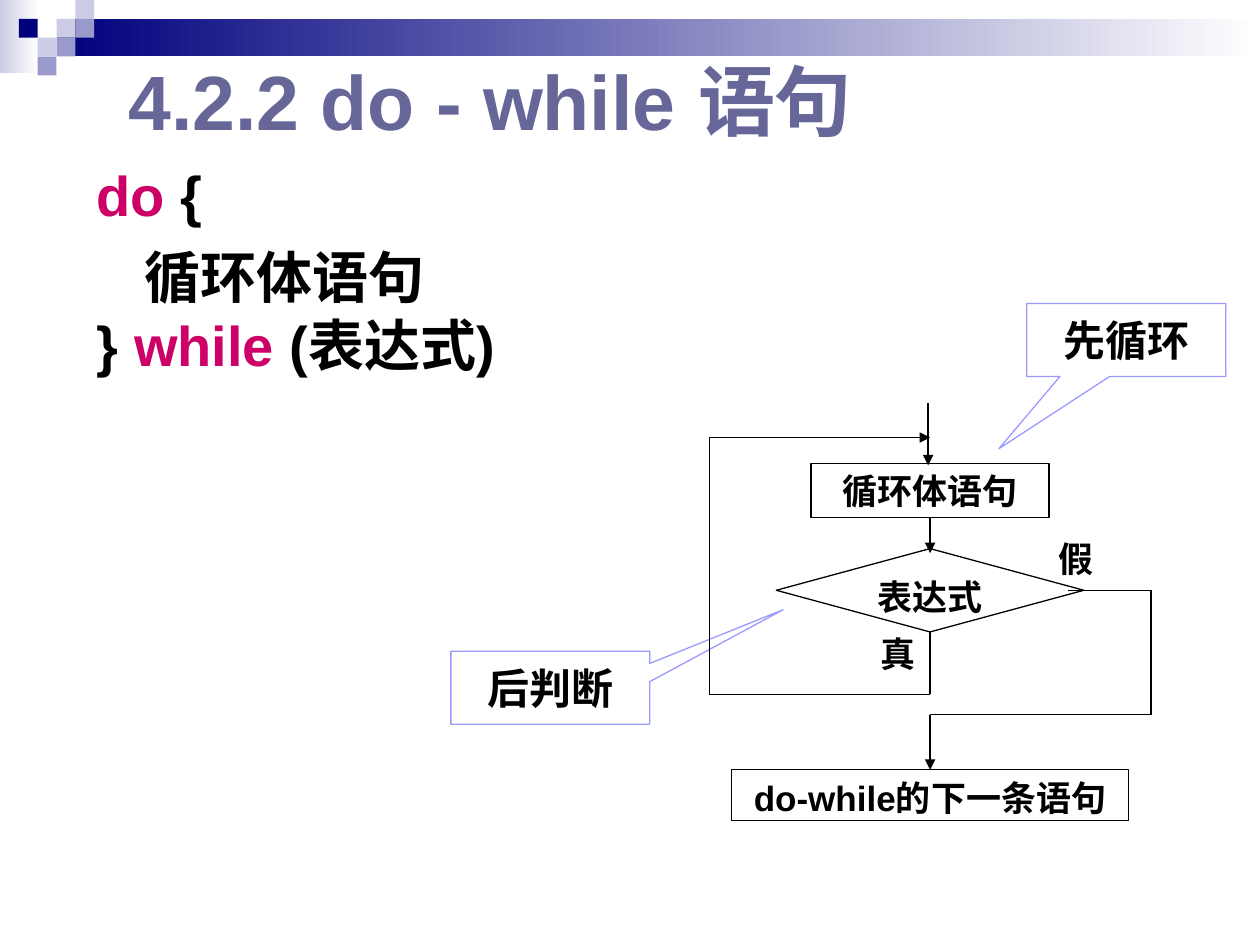
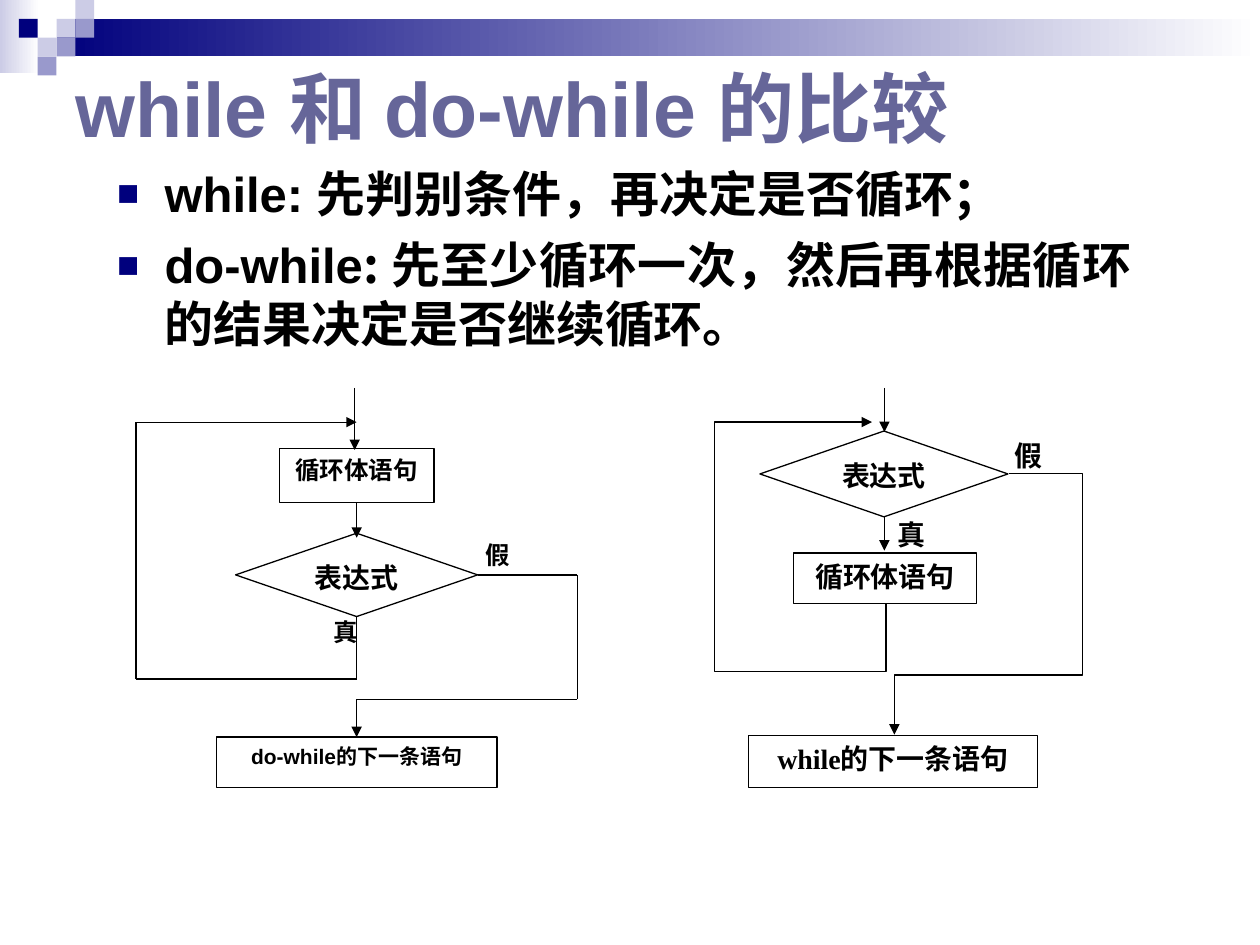
import itertools

import pptx
import pptx.dml.color
import pptx.enum.dml
import pptx.enum.shapes
import pptx.enum.text
import pptx.oxml
import pptx.oxml.ns
import pptx.util

Cm = pptx.util.Cm
Pt = pptx.util.Pt
RGBColor = pptx.dml.color.RGBColor
SHAPE = pptx.enum.shapes.MSO_SHAPE
ANCHOR = pptx.enum.text.MSO_ANCHOR
ALIGN = pptx.enum.text.PP_ALIGN

BLACK = RGBColor(0x00, 0x00, 0x00)
WHITE = RGBColor(0xFF, 0xFF, 0xFF)
NAVY = RGBColor(0x00, 0x00, 0x7D)
LAVENDER = RGBColor(0x99, 0x99, 0xCC)
PALE = RGBColor(0xCC, 0xCC, 0xE6)
SLATE = RGBColor(0x66, 0x66, 0x99)
PINK = RGBColor(0xCC, 0x00, 0x66)
CALLOUT_LINE = RGBColor(0x99, 0x99, 0xFF)

LATIN = "Arial"
SERIF = "Times New Roman"
CHINESE = "Noto Sans CJK SC"
LINE_WIDTH = Pt(0.75)
HANGING = Cm(0.96)

# Header mosaic: column, row and colour of each square
TILE = 0.38
TILES = [(3, 1, PALE), (4, 0, PALE), (4, 1, LAVENDER), (2, 2, PALE),
         (1, 1, NAVY), (3, 2, LAVENDER), (2, 3, LAVENDER)]


def add_xml(parent, tag, **attributes):
    """Append a drawing element and return it."""
    element = parent.makeelement(pptx.oxml.ns.qn(tag), attributes)
    parent.append(element)
    return element


def set_all(target, values):
    for name, value in values.items():
        setattr(target, name, value)


class Deck:
    def __init__(self):
        self.presentation = pptx.Presentation()
        set_all(self.presentation, {"slide_width": Cm(25.4), "slide_height": Cm(19.05)})
        self.slide = None

    def new_slide(self, title, title_box):
        self.slide = self.presentation.slides.add_slide(self.presentation.slide_layouts[6])
        # Fading bands, then the mosaic over them
        self.fading_band((0, 0, 0.79, 1.47), PALE)
        self.fading_band((1.14, 0.38, 24.26, 0.76), NAVY)
        for column, row, colour in TILES:
            self.shape((column * TILE, row * TILE, TILE, TILE), fill=colour)
        frame = self.text_box(title_box, ANCHOR.MIDDLE)
        self.run(frame.paragraphs[0], title, 44, SLATE)

    # Shapes
    def shape(self, box, text="", size=20, font=LATIN, kind=SHAPE.RECTANGLE,
              fill=WHITE, line=None, anchor=ANCHOR.TOP, wrap=True):
        shape = self.slide.shapes.add_shape(kind, *map(Cm, box))
        shape.shadow.inherit = False
        shape.fill.solid()
        shape.fill.fore_color.rgb = fill
        self.outline(shape.line, line)
        if text:
            set_all(shape.text_frame, {"word_wrap": wrap, "vertical_anchor": anchor})
            paragraph = shape.text_frame.paragraphs[0]
            paragraph.alignment = ALIGN.CENTER
            self.run(paragraph, text, size, font=font)
        return shape

    def fading_band(self, box, colour):
        band = self.shape(box)
        band.fill.gradient()
        band.fill.gradient_angle = 0
        for stop, stop_colour in zip(band.fill.gradient_stops, (colour, WHITE)):
            stop.color.rgb = stop_colour

    def callout(self, box, text, pointer):
        shape = self.shape(box, text, 24, SERIF, SHAPE.RECTANGULAR_CALLOUT,
                           line=CALLOUT_LINE, anchor=ANCHOR.MIDDLE, wrap=False)
        for index, value in enumerate(pointer):
            shape.adjustments[index] = value

    def step(self, box, text, size, font=LATIN):
        self.shape(box, text, size, font, line=BLACK)

    def decision(self, box, text, size, font=LATIN):
        self.shape(box, text, size, font, SHAPE.FLOWCHART_DECISION, line=BLACK)

    # Lines
    def outline(self, line, colour=BLACK, arrow=False):
        if colour is None:
            line.fill.background()
            return
        line.color.rgb = colour
        line.width = LINE_WIDTH
        if arrow:
            add_xml(line._get_or_add_ln(), "a:tailEnd", type="triangle")

    def route(self, points, arrow=True):
        """Straight connectors through the points, the last one arrowed."""
        segments = list(itertools.pairwise(points))
        for index, (start, end) in enumerate(segments, 1):
            connector = self.slide.shapes.add_connector(
                pptx.enum.shapes.MSO_CONNECTOR.STRAIGHT, *map(Cm, start + end))
            self.outline(connector.line, arrow=arrow and index == len(segments))
            add_xml(connector._element.spPr, "a:effectLst")

    def bent_arrow(self, points):
        """One open outline through the points, arrowed at its end."""
        corners = [(Cm(x), Cm(y)) for x, y in points]
        builder = self.slide.shapes.build_freeform(*corners[0])
        builder.add_line_segments(corners[1:], close=False)
        shape = builder.convert_to_shape()
        shape.shadow.inherit = False
        shape.fill.background()
        self.outline(shape.line, arrow=True)

    # Text
    def text_box(self, box, anchor=ANCHOR.TOP):
        frame = self.slide.shapes.add_textbox(*map(Cm, box)).text_frame
        set_all(frame, {"word_wrap": True, "vertical_anchor": anchor})
        return frame

    def run(self, paragraph, text, size, colour=BLACK, font=LATIN):
        run = paragraph.add_run()
        run.text = text
        set_all(run.font, {"size": Pt(size), "bold": True, "name": font})
        run.font.color.rgb = colour
        add_xml(run._r.get_or_add_rPr(), "a:ea", typeface=CHINESE)

    def body(self, box, lines, size, space, bullet=False):
        """Each line is its runs and its paragraph format."""
        frame = self.text_box(box)
        for index, (runs, values) in enumerate(lines):
            paragraph = frame.add_paragraph() if index else frame.paragraphs[0]
            set_all(paragraph, {"alignment": ALIGN.JUSTIFY, "space_before": Pt(space), **values})
            if bullet:
                self.bullet(paragraph)
            for text, colour, font in runs:
                self.run(paragraph, text, size, colour, font)

    def bullet(self, paragraph):
        properties = paragraph._p.get_or_add_pPr()
        set_all_xml = {"marL": str(HANGING), "indent": str(-HANGING)}
        for name, value in set_all_xml.items():
            properties.set(name, value)
        add_xml(add_xml(properties, "a:buClr"), "a:srgbClr", val=str(NAVY))
        add_xml(properties, "a:buSzPct", val="75000")
        add_xml(properties, "a:buFont", typeface=LATIN)
        add_xml(properties, "a:buChar", char="■")

    # Flow chart of do-while, placed by its vertical axis and its top
    def do_while_flow(self, axis, top, widths, sizes, true_at, false_at, exit_start, next_top):
        def at(x, y):
            return axis + x, top + y

        def centred(y, width, height):
            return at(-width / 2, y) + (width, height)

        action_width, decision_width, next_width = widths
        label_size, decision_size, action_size, next_size = sizes
        self.shape(at(*true_at) + (1.17, 1.09), "真", label_size)
        self.shape(at(*false_at) + (1.63, 1.09), "假", label_size)
        self.decision(centred(2.93, decision_width, 1.68), "表达式", decision_size)
        self.step(centred(1.22, action_width, 1.09), "循环体语句", action_size)
        self.route([at(0, 2.31), at(0, 3.02)])
        self.route([at(-0.04, 0), at(-0.04, 1.25)])
        loop_back = [(0, 4.6), (0, 5.87), (-4.45, 5.87), (-4.45, 0.69), (0, 0.69)]
        leave = [(exit_start, 3.77), (4.45, 3.77), (4.45, 6.28), (0, 6.28), (0, next_top)]
        for points in (loop_back, leave):
            self.route([at(*point) for point in points])
        self.step(centred(next_top, next_width, 1.02), "do-while的下一条语句", next_size)

    def while_flow(self, axis):
        self.shape((16.89, 10.31, 2.97, 1.04), "真", 16, SERIF)
        self.shape((19.48, 8.71, 2.51, 1.04), "假", 16, SERIF)
        self.route([(axis, 10.41), (axis, 11.1)])
        self.step((15.09, 14.83, 5.82, 1.04), "while的下一条语句", 16, SERIF)
        self.route([(axis, 7.82), (axis, 8.71)])
        self.decision((15.32, 8.69, 5, 1.73), "表达式", 16, SERIF)
        self.step((16, 11.15, 3.68, 1.02), "循环体语句", 16, SERIF)
        self.bent_arrow([(20.35, 9.55), (21.82, 9.55), (21.82, 13.61),
                         (18.03, 13.61), (18.03, 14.81)])
        self.bent_arrow([(17.86, 12.17), (17.86, 13.54), (14.4, 13.54),
                         (14.4, 8.51), (17.58, 8.51)])


def build_do_while_slide(deck):
    deck.new_slide("4.2.2 do - while 语句", (2.34, 0.64, 16.38, 2.74))
    lines = [
        ([("do", PINK, LATIN), (" {", BLACK, LATIN)], {}),
        ([("\t循环体语句", BLACK, LATIN)], {}),
        ([("} ", BLACK, LATIN), ("while ", PINK, LATIN), ("(表达式)", BLACK, LATIN)],
         {"line_spacing": 0.8}),
    ]
    deck.body((1.7, 3.12, 11.15, 5.08), lines, 32, 8)
    # The tab of the loop body stops at the hanging indent
    for paragraph in deck.slide.shapes[-1].text_frame.paragraphs:
        properties = paragraph._p.get_or_add_pPr()
        properties.set("marL", str(HANGING))
        properties.set("indent", str(-HANGING))
    deck.callout((20.7, 6.12, 4.01, 1.47), "先循环", (-0.64, 1.49))
    deck.callout((9.09, 13.13, 4.01, 1.47), "后判断", (1.17, -1.07))
    deck.do_while_flow(18.75, 8.13, widths=(4.8, 6.2, 8), sizes=(20, 20, 20, 20),
                       true_at=(-1.24, 4.5), false_at=(2.13, 2.59),
                       exit_start=2.77, next_top=7.39)


def build_comparison_slide(deck):
    deck.new_slide("while 和 do-while 的比较", (1.27, 1.27, 19.63, 1.78))
    lines = [
        ([("while: ", BLACK, LATIN), ("先判别条件，再决定是否循环；", BLACK, CHINESE)], {}),
        ([("do-while", BLACK, LATIN),
          (": 先至少循环一次，然后再根据循环的结果决定是否继续循环。", BLACK, CHINESE)], {}),
    ]
    deck.body((2.11, 3.18, 20.96, 4.45), lines, 28, 7, bullet=True)
    deck.do_while_flow(7.19, 7.82, widths=(3.12, 4.88, 5.66), sizes=(14, 16, 14, 12),
                       true_at=(-0.81, 4.5), false_at=(2.03, 2.95),
                       exit_start=2.44, next_top=7.04)
    deck.while_flow(17.83)


def main():
    deck = Deck()
    build_do_while_slide(deck)
    build_comparison_slide(deck)
    deck.presentation.save("out.pptx")


if __name__ == "__main__":
    main()
